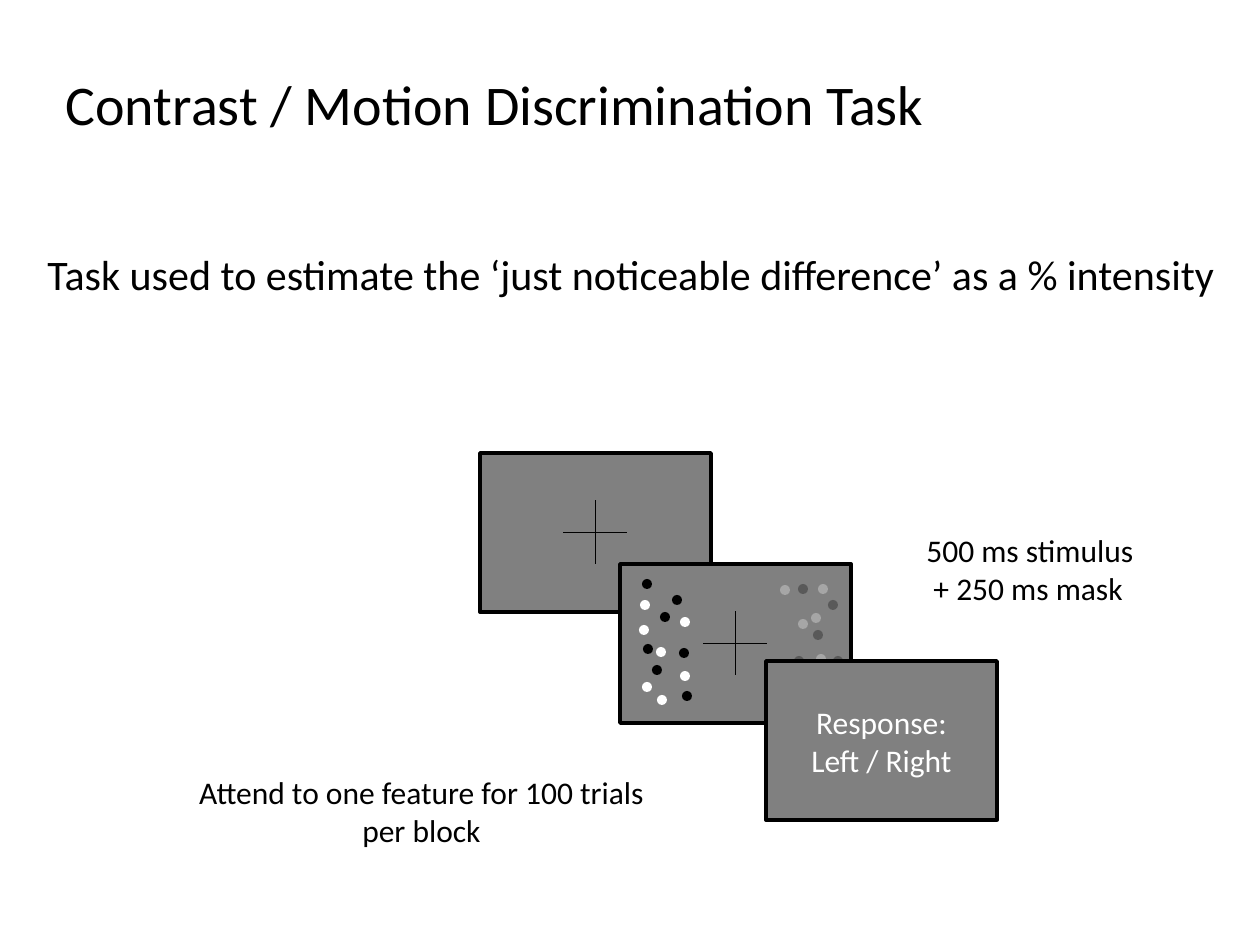
from lxml import etree
from pptx import Presentation
from pptx.dml.color import RGBColor
from pptx.enum.shapes import MSO_CONNECTOR, MSO_SHAPE
from pptx.enum.text import MSO_ANCHOR, PP_ALIGN
from pptx.oxml.ns import qn
from pptx.util import Emu, Pt

RECTANGLE, OVAL = MSO_SHAPE.RECTANGLE, MSO_SHAPE.OVAL
STRAIGHT = MSO_CONNECTOR.STRAIGHT
LEFT, CENTER = PP_ALIGN.LEFT, PP_ALIGN.CENTER
TOP, MIDDLE = MSO_ANCHOR.TOP, MSO_ANCHOR.MIDDLE

BLACK = RGBColor(0x00, 0x00, 0x00)
WHITE = RGBColor(0xFF, 0xFF, 0xFF)
SCREEN_GRAY = RGBColor(0x80, 0x80, 0x80)
LIGHT_GRAY = RGBColor(0xA6, 0xA6, 0xA6)
DARK_GRAY = RGBColor(0x59, 0x59, 0x59)

EMU_PER_PX = 914400 / 126
FONT = "Calibri"
SCREEN_WIDTH, SCREEN_HEIGHT = 231, 159
CROSS_ARM = 32
DOT_SIZE = 10

# Dot centres, relative to the top left corner of the stimulus screen
DOTS = {
    BLACK: [(27, 20), (45, 53), (57, 36), (28, 85), (64, 89), (37, 106), (67, 132)],
    LIGHT_GRAY: [(165, 26), (183, 60), (203, 25), (201, 95), (196, 54)],
    DARK_GRAY: [(183, 25), (198, 71), (213, 41), (179, 97), (218, 97)],
    WHITE: [(25, 41), (24, 66), (65, 58), (41, 88), (65, 112), (27, 123), (42, 136)],
}


def px(*lengths):
    return [Emu(round(length * EMU_PER_PX)) for length in lengths]


def write_text(shape, text, size, color=BLACK, alignment=LEFT, anchor=TOP):
    frame = shape.text_frame
    frame.word_wrap = True
    frame.vertical_anchor = anchor
    frame.text = text
    for paragraph in frame.paragraphs:
        paragraph.alignment = alignment
        paragraph.font.name = FONT
        paragraph.font.size = Pt(size)
        paragraph.font.color.rgb = color


def add_title(slide, left, top, width, height):
    title = slide.shapes.title
    title.left, title.top, title.width, title.height = px(left, top, width, height)
    write_text(title, "Contrast / Motion Discrimination Task", 32)


def add_label(slide, box, text, size, alignment=CENTER):
    write_text(slide.shapes.add_textbox(*px(*box)), text, size, alignment=alignment)


def add_screen(shapes, left, top):
    screen = shapes.add_shape(RECTANGLE, *px(left, top, SCREEN_WIDTH, SCREEN_HEIGHT))
    screen.shadow.inherit = False
    screen.fill.solid()
    screen.fill.fore_color.rgb = SCREEN_GRAY
    screen.line.color.rgb = BLACK
    screen.line.width = Pt(2)
    return screen


def add_cross(shapes, left, top):
    """Draw the fixation cross in the middle of the screen at left, top."""
    x, y = left + SCREEN_WIDTH / 2, top + SCREEN_HEIGHT / 2
    for dx, dy in ((0, CROSS_ARM), (CROSS_ARM, 0)):
        line = shapes.add_connector(STRAIGHT, *px(x - dx, y - dy, x + dx, y + dy))
        line.line.color.rgb = BLACK
        line.line.width = Pt(0.75)
        etree.SubElement(line._element.spPr, qn("a:effectLst"))


def add_dot(shapes, x, y, color):
    dot = shapes.add_shape(
        OVAL, *px(x - DOT_SIZE / 2, y - DOT_SIZE / 2, DOT_SIZE, DOT_SIZE))
    dot.shadow.inherit = False
    dot.fill.solid()
    dot.fill.fore_color.rgb = color
    dot.line.fill.background()


def add_fixation_screen(slide, left, top):
    shapes = slide.shapes.add_group_shape().shapes
    add_screen(shapes, left, top)
    add_cross(shapes, left, top)
    return shapes


def add_stimulus_screen(slide, left, top):
    shapes = add_fixation_screen(slide, left, top)
    for color, centres in DOTS.items():
        for x, y in centres:
            add_dot(shapes, left + x, top + y, color)


def add_response_screen(slide, left, top):
    screen = add_screen(slide.shapes, left, top)
    write_text(screen, "Response:\nLeft / Right", 18, WHITE, CENTER, MIDDLE)


def main():
    presentation = Presentation()
    presentation.slide_width, presentation.slide_height = px(1260, 945)
    slide = presentation.slides.add_slide(presentation.slide_layouts[5])

    add_title(slide, 53, 63, 895, 81)
    add_label(slide, (13, 242, 1236, 63),
              "Task used to estimate the ‘just noticeable difference’ as a % intensity", 24)
    add_fixation_screen(slide, 480, 453)
    add_stimulus_screen(slide, 620, 564)
    add_response_screen(slide, 766, 661)
    add_label(slide, (914, 525, 234, 89), "500 ms stimulus\n + 250 ms mask", 18, LEFT)
    add_label(slide, (165, 767, 513, 89),
              "Attend to one feature for 100 trials per block", 18)

    presentation.save("out.pptx")


if __name__ == "__main__":
    main()
